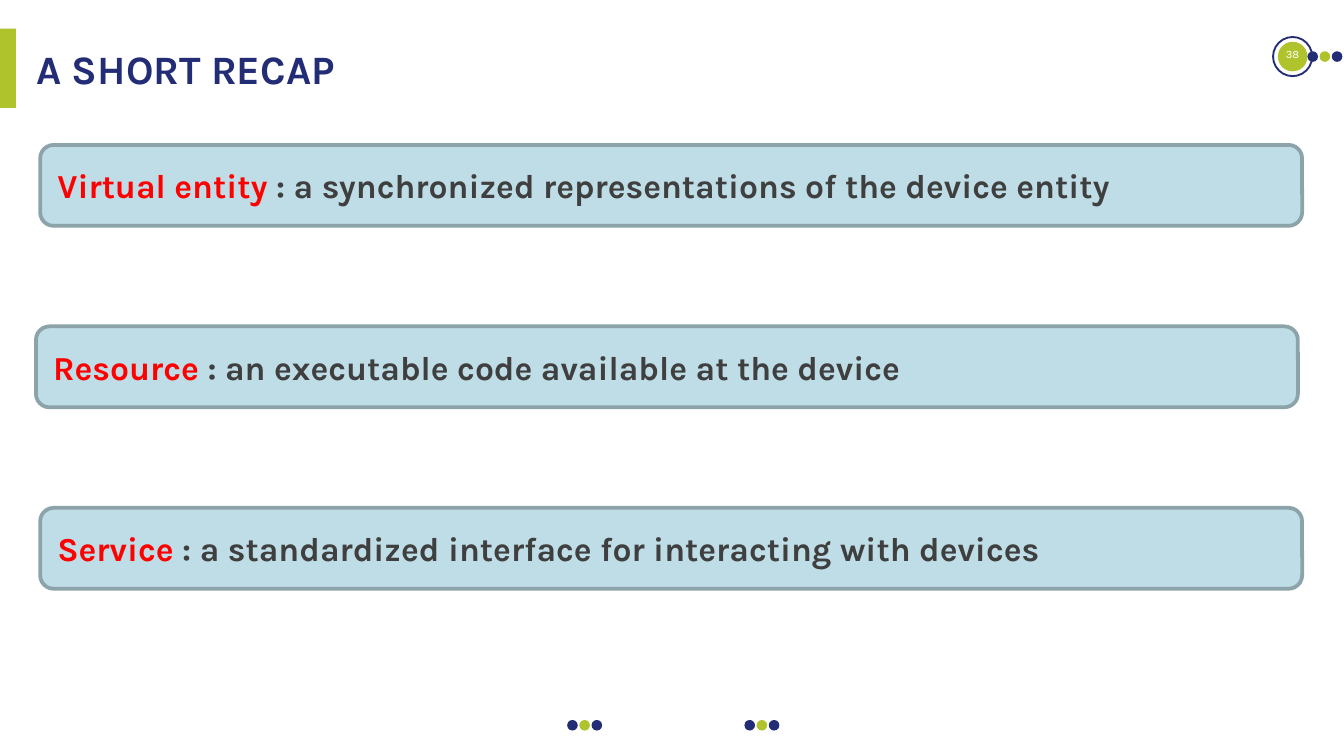
from pptx import Presentation
from pptx.dml.color import RGBColor
from pptx.enum import shapes, text
from pptx.util import Cm, Pt

NAVY, LIME, WHITE = "232D75", "AFC32C", "FFFFFF"
RED, GREY, PALE_BLUE, BLUE_GREY = "FF0000", "3F3F3F", "BFDDE6", "8DA3AA"

# Content
TITLE = "A SHORT RECAP"
PAGE_NUMBER = "38"
DEFINITIONS = [  # left edge in cm, term, meaning
    (0.76, "Virtual entity ", ": a synchronized representations of the device entity"),
    (0.68, "Resource ", ": an executable code available at the device"),
    (0.76, "Service", " : a standardized interface for interacting with devices"),
]
DOT_TRIOS = [(10.72, 13.61), (14.07, 13.61), (24.71, 0.97)]  # left, top in cm

# Layout in cm
DOT_SIZE, DOT_STEP = 0.2, 0.23
CARD_TOP, CARD_STEP, CARD_WIDTH, CARD_HEIGHT = 2.74, 3.43, 23.85, 1.53


def rgb(code):
    return RGBColor.from_string(code)


def add_figure(parent, kind, left, top, width, height, fill=None, line=None, weight=1):
    figure = parent.add_shape(kind, Cm(left), Cm(top), Cm(width), Cm(height))
    figure.shadow.inherit = False
    if fill:
        figure.fill.solid()
        figure.fill.fore_color.rgb = rgb(fill)
    else:
        figure.fill.background()
    if line:
        figure.line.color.rgb = rgb(line)
        figure.line.width = Pt(weight)
    else:
        figure.line.fill.background()
    return figure


def write(frame, *parts, size, bold=False, align=text.PP_ALIGN.LEFT, inset=None):
    """Fill the frame with one paragraph of (words, colour) parts."""
    frame.word_wrap = True
    frame.auto_size = text.MSO_AUTO_SIZE.NONE
    frame.vertical_anchor = text.MSO_ANCHOR.MIDDLE
    if inset is not None:
        frame.margin_left = frame.margin_right = Cm(inset)
        frame.margin_top = frame.margin_bottom = Cm(inset)
    paragraph = frame.paragraphs[0]
    paragraph.alignment = align
    for words, colour in parts:
        run = paragraph.add_run()
        run.text = words
        run.font.name = "Karla"
        run.font.size = Pt(size)
        run.font.bold = bold
        run.font.color.rgb = rgb(colour)


prs = Presentation()
prs.slide_width, prs.slide_height = Cm(25.4), Cm(14.29)
slide = prs.slides.add_slide(prs.slide_layouts[5])
canvas = slide.shapes
OVAL = shapes.MSO_SHAPE.OVAL

# Page number badge
badge = add_figure(canvas, OVAL, 24.15, 0.79, 0.56, 0.56, fill=LIME)
badge.rotation = 45
add_figure(canvas, OVAL, 24.06, 0.7, 0.74, 0.74, line=NAVY)

# Dot trios
for left, top in DOT_TRIOS:
    trio = canvas.add_group_shape()
    for i, colour in enumerate((NAVY, LIME, NAVY)):
        add_figure(trio.shapes, OVAL, left + i * DOT_STEP, top, DOT_SIZE, DOT_SIZE, fill=colour)

# Accent bar, page number and title
add_figure(canvas, shapes.MSO_SHAPE.RECTANGLE, 0, 0.54, 0.3, 1.5, fill=LIME)
page = canvas.add_textbox(Cm(24.06), Cm(0.76), Cm(0.74), Cm(0.53))
write(page.text_frame, (PAGE_NUMBER, WHITE), size=6, align=text.PP_ALIGN.CENTER, inset=0)

title = canvas.title
title.left, title.top, title.width, title.height = Cm(0.69), Cm(0.81), Cm(23.37), Cm(0.97)
write(title.text_frame, (TITLE, NAVY), size=21.6, bold=True, inset=0)

# Definition cards
for i, (left, term, meaning) in enumerate(DEFINITIONS):
    card = add_figure(canvas, shapes.MSO_SHAPE.ROUNDED_RECTANGLE, left, CARD_TOP + i * CARD_STEP,
                      CARD_WIDTH, CARD_HEIGHT, fill=PALE_BLUE, line=BLUE_GREY, weight=2)
    write(card.text_frame, (term, RED), (meaning, GREY), size=18, bold=True)

prs.save("out.pptx")
